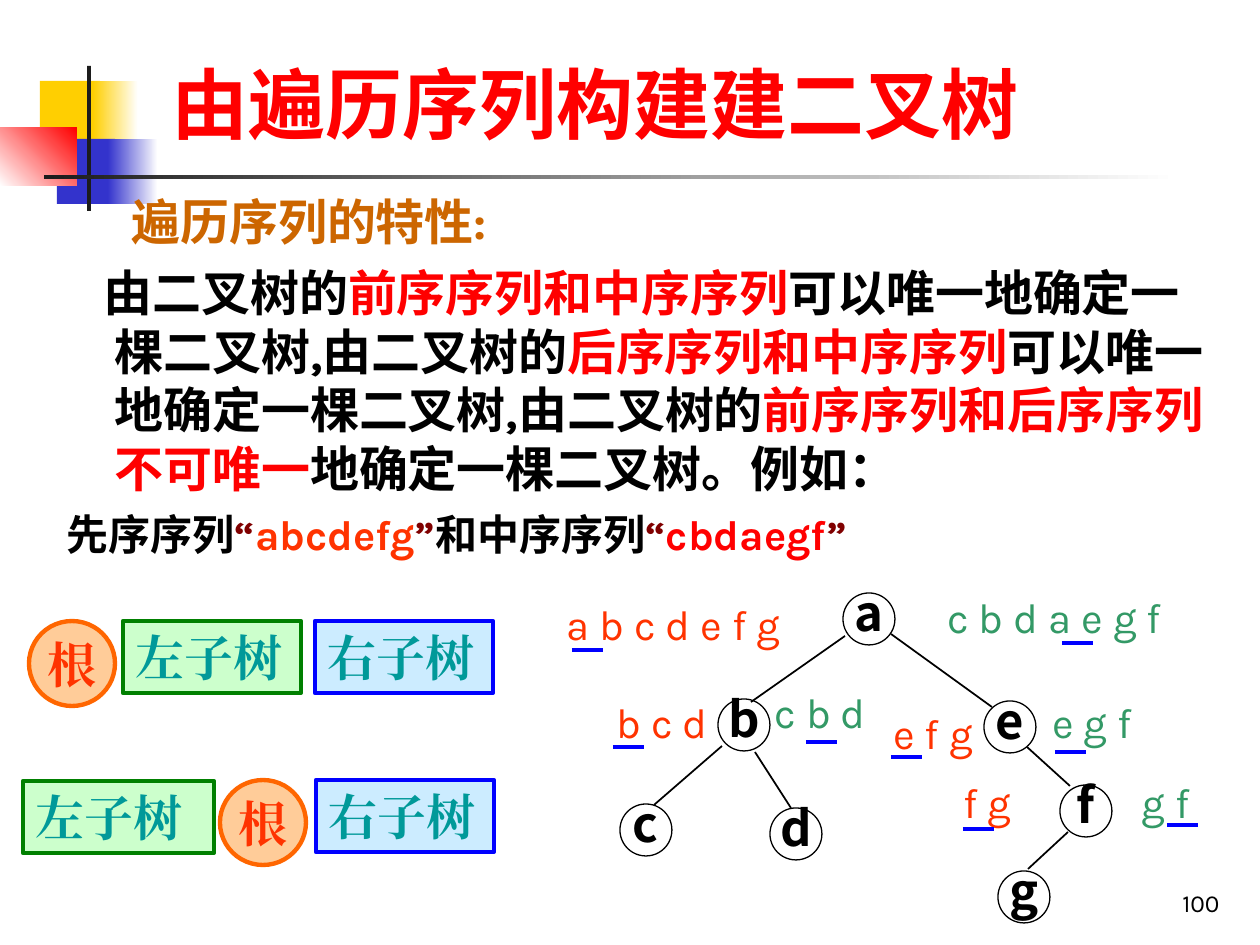
from dataclasses import dataclass

from lxml.etree import SubElement
from pptx import Presentation
from pptx.dml.color import RGBColor
from pptx.enum.shapes import MSO_CONNECTOR, MSO_SHAPE
from pptx.enum.text import MSO_ANCHOR, PP_ALIGN
from pptx.oxml.ns import qn
from pptx.util import Emu, Pt


@dataclass(frozen=True)
class Theme:
    black: str = "000000"
    white: str = "FFFFFF"
    dark: str = "1C1C1C"
    yellow: str = "FFCF01"
    indigo: str = "3333CC"
    red: str = "FF0000"
    brown: str = "CC6600"
    maroon: str = "800000"
    preorder: str = "FF3300"
    inorder: str = "339966"
    blue: str = "0000FF"
    pale_blue: str = "CCECFF"
    green: str = "008000"
    pale_green: str = "CCFFCC"
    teal: str = "009999"
    orange: str = "FF6600"
    pale_orange: str = "FFCC99"
    font: str = "Karla"
    node_font: str = "Noto Sans CJK SC"
    box_font: str = "Times New Roman"
    title: int = 44
    large: int = 28
    medium: int = 24
    small: int = 14


class Deck:
    """Draws styled elements on the current slide, measured in px."""

    def __init__(self, theme, width, height):
        self.theme = theme
        self.prs = Presentation()
        self.prs.slide_width = self.px(width)
        self.prs.slide_height = self.px(height)
        self.s = self.prs.slides.add_slide(self.prs.slide_layouts[6])

    def px(self, n):
        return Emu(round(n * 914400 / 126))

    def box(self, *at):
        return [self.px(n) for n in at]

    def style(self, r, size, color, bold=False, font=None):
        font = font or self.theme.font
        r.font.size = Pt(size)
        r.font.bold = bold
        r.font.name = font
        r.font.color.rgb = RGBColor.from_string(color)
        SubElement(r._r.get_or_add_rPr(), qn("a:ea")).set("typeface", font)

    def text_box(self, at, anchor=MSO_ANCHOR.TOP):
        tf = self.s.shapes.add_textbox(*self.box(*at)).text_frame
        tf.word_wrap = True
        tf.vertical_anchor = anchor
        return tf

    def text(self, at, text, size, color, bold=False, anchor=MSO_ANCHOR.TOP, align=PP_ALIGN.LEFT):
        tf = self.text_box(at, anchor)
        tf.text = text
        p = tf.paragraphs[0]
        p.alignment = align
        self.style(p.runs[0], size, color, bold)

    def paragraphs(self, at, items):
        tf = self.text_box(at)
        for i, (size, before, margin, indent, pieces) in enumerate(items):
            p = tf.add_paragraph() if i else tf.paragraphs[0]
            pPr = p._p.get_or_add_pPr()
            pPr.set("marL", str(self.px(margin)))
            pPr.set("indent", str(self.px(indent)))
            p.space_before = Pt(before)
            for text, color in pieces:
                r = p.add_run()
                r.text = text
                self.style(r, size, color, True)

    def shape(self, kind, at, fill=None, line=None, weight=2.5):
        sp = self.s.shapes.add_shape(kind, *self.box(*at))
        sp.shadow.inherit = False
        if fill:
            sp.fill.solid()
            sp.fill.fore_color.rgb = RGBColor.from_string(fill)
        else:
            sp.fill.background()
        if line:
            sp.line.color.rgb = RGBColor.from_string(line)
            sp.line.width = Pt(weight)
        else:
            sp.line.fill.background()
        return sp

    def gradient(self, at, start, end, angle=0):
        sp = self.shape(MSO_SHAPE.RECTANGLE, at)
        sp.fill.gradient()
        sp.fill.gradient_angle = angle
        for stop, color in zip(sp.fill.gradient_stops, (start, end)):
            stop.color.rgb = RGBColor.from_string(color)

    def caption(self, sp, text, color, font, centered=True, spacing=1.0):
        tf = sp.text_frame
        tf.text = text
        tf.word_wrap = not centered
        tf.vertical_anchor = MSO_ANCHOR.MIDDLE if centered else MSO_ANCHOR.TOP
        p = tf.paragraphs[0]
        p.alignment = PP_ALIGN.CENTER if centered else PP_ALIGN.LEFT
        p.line_spacing = spacing
        self.style(p.runs[0], self.theme.large, color, True, font)

    def subtree(self, at, text, fill, line):
        sp = self.shape(MSO_SHAPE.RECTANGLE, at, fill, line)
        self.caption(sp, text, self.theme.teal, self.theme.box_font, False)

    def root(self, x, y):
        t = self.theme
        sp = self.shape(MSO_SHAPE.OVAL, (x, y, 86, 85), t.pale_orange, t.orange)
        self.caption(sp, "根", t.preorder, t.box_font)

    def node(self, text, x, y):
        sp = self.shape(MSO_SHAPE.OVAL, (x, y, 52, 52), None, self.theme.black, 0.75)
        self.caption(sp, text, self.theme.black, self.theme.node_font, spacing=0.7)

    def line(self, ends, color, weight):
        c = self.s.shapes.add_connector(MSO_CONNECTOR.STRAIGHT, *self.box(*ends))
        c.line.color.rgb = RGBColor.from_string(color)
        c.line.width = Pt(weight)
        SubElement(c._element.spPr, qn("a:effectLst"))

    def sequence(self, text, color, at, mark):
        x, y = mark
        self.text(at, text, self.theme.medium, color)
        self.line((x, y, x + 31, y), self.theme.blue, 2.25)


def main():
    t = Theme()
    d = Deck(t, 1260, 945)

    d.shape(MSO_SHAPE.RECTANGLE, (40, 81, 60, 65), t.yellow)
    d.gradient((93, 81, 45, 65), t.yellow, t.white)
    d.shape(MSO_SHAPE.RECTANGLE, (57, 139, 58, 65), t.indigo)
    d.gradient((108, 139, 50, 65), t.indigo, t.white)
    d.gradient((0, 128, 77, 58), t.white, t.red, 45)
    d.shape(MSO_SHAPE.RECTANGLE, (87, 66, 4, 145), t.dark)
    d.gradient((44, 175, 1134, 4), t.dark, t.white)

    d.text((159, 29, 1073, 126), "由遍历序列构建建二叉树", t.title, t.red, True, MSO_ANCHOR.BOTTOM)
    d.paragraphs((54, 185, 1183, 381), [
        (t.large, 0, 65, 0, [("遍历序列的特性:", t.brown)]),
        (t.large, 7, 48, -11, [
            ("由二叉树的", t.black),
            ("前序序列和中序序列", t.red),
            ("可以唯一地确定一棵二叉树,由二叉树的", t.black),
            ("后序序列和中序序列", t.red),
            ("可以唯一地确定一棵二叉树,由二叉树的", t.black),
            ("前序序列和后序序列不可唯一", t.red),
            ("地确定一棵二叉树。例如：", t.black)]),
        (t.medium, 6, 48, -48, [
            ("先序序列", t.black), ("“", t.maroon), ("abcdefg", t.preorder), ("”", t.maroon),
            ("和中序序列", t.black), ("“", t.maroon), ("cbdaegf", t.red), ("”", t.maroon)]),
    ])

    for text, color, at, mark in [
        ("a b c d e f g", t.preorder, (554, 592, 315, 63), (572, 650)),
        ("c b d a e g f", t.inorder, (935, 585, 291, 63), (1062, 643)),
        ("b c d", t.preorder, (604, 690, 131, 63), (613, 747)),
        ("c b d", t.inorder, (762, 680, 131, 63), (806, 742)),
        ("e f g", t.preorder, (881, 701, 131, 63), (891, 757)),
        ("e g f", t.inorder, (1040, 690, 131, 63), (1055, 752)),
        ("f g", t.preorder, (951, 770, 131, 63), (963, 829)),
        ("g f", t.inorder, (1129, 770, 131, 63), (1167, 825)),
    ]:
        d.sequence(text, color, at, mark)

    for ends in [(845, 636, 751, 702), (891, 634, 992, 707), (722, 746, 654, 805),
                 (755, 752, 791, 808), (1027, 747, 1070, 786), (1068, 832, 1028, 869)]:
        d.line(ends, t.black, 1)
    for text, x, y in [("a", 843, 593), ("b", 718, 699), ("c", 620, 804), ("d", 770, 808),
                       ("e", 984, 701), ("f", 1060, 785), ("g", 998, 871)]:
        d.node(text, x, y)

    for at in [(23, 781, 191, 72), (123, 621, 178, 72)]:
        d.subtree(at, "左子树", t.pale_green, t.green)
    for at in [(315, 621, 178, 72), (316, 780, 178, 72)]:
        d.subtree(at, "右子树", t.pale_blue, t.blue)
    d.root(29, 621)
    d.root(220, 780)

    d.text((970, 861, 262, 63), "100", t.small, t.black, anchor=MSO_ANCHOR.BOTTOM, align=PP_ALIGN.RIGHT)
    d.prs.save("out.pptx")


if __name__ == "__main__":
    main()
